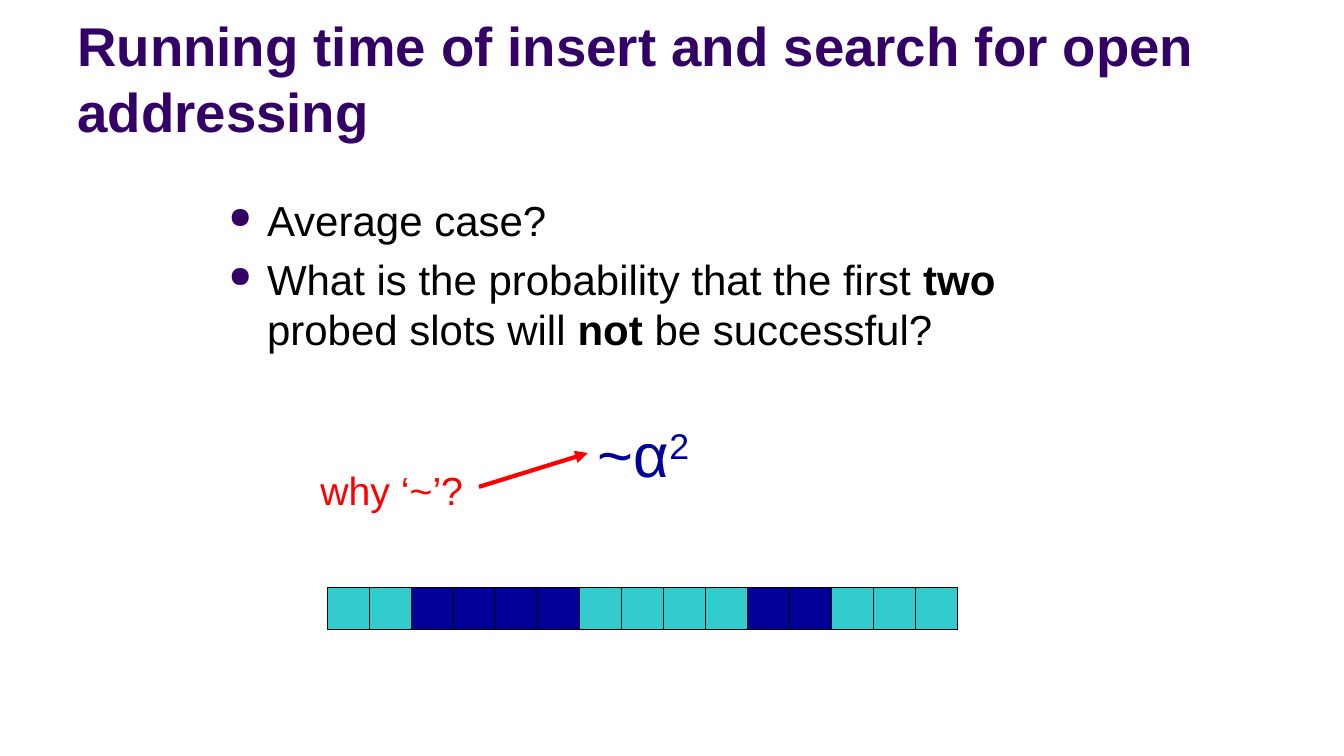
import pptx
import pptx.util
import pptx.dml.color
import pptx.enum.shapes
import pptx.enum.text
import pptx.oxml.ns
from lxml import etree

Inches, Pt = pptx.util.Inches, pptx.util.Pt
RGBColor = pptx.dml.color.RGBColor

PURPLE = RGBColor(0x33, 0x00, 0x66)
BLACK = RGBColor(0x00, 0x00, 0x00)
TEAL = RGBColor(0x33, 0xCC, 0xCC)
NAVY = RGBColor(0x00, 0x00, 0x99)
RED = RGBColor(0xFF, 0x00, 0x00)

TABLE_LEFT, TABLE_TOP, TABLE_WIDTH = 3.25, 5.83, 6.25
SLOTS = 15
SLOT = TABLE_WIDTH / SLOTS
FILLED = (2, 3, 4, 5, 10, 11)


def add_xml(parent, tag, **attributes):
    return etree.SubElement(parent, pptx.oxml.ns.qn(tag), attributes)


class SlideBuilder:
    """Holds the font and the current slide, and adds styled elements to it."""

    def __init__(self, s, font="Arial"):
        self.s = s
        self.font = font

    def text(self, box, paragraphs, size, color, bold=None, bullet=None, gap=0, bottom=False):
        sp = self.s.shapes.add_textbox(*map(Inches, box))
        tf = sp.text_frame
        tf.word_wrap = True
        if bottom:
            tf.vertical_anchor = pptx.enum.text.MSO_ANCHOR.BOTTOM
        for i, runs in enumerate(paragraphs):
            p = tf.paragraphs[0] if i == 0 else tf.add_paragraph()
            if i:
                p.space_before = Pt(gap)
            if bullet:
                self.bullet(p, bullet)
            p.font.name, p.font.size, p.font.bold = self.font, Pt(size), bold
            p.font.color.rgb = color
            for words, style in runs:
                r = p.add_run()
                r.text = words
                if style == "bold":
                    r.font.bold = True
                elif style == "super":
                    r._r.get_or_add_rPr().set("baseline", "30000")
        return sp

    def bullet(self, p, color):
        pPr = p._p.get_or_add_pPr()
        pPr.set("marL", str(Inches(0.38)))
        pPr.set("indent", str(-Inches(0.38)))
        add_xml(add_xml(pPr, "a:buClr"), "a:srgbClr", val=str(color))
        add_xml(pPr, "a:buSzPct", val="70000")
        add_xml(pPr, "a:buChar", char="●")

    def rect(self, box, fill):
        sp = self.s.shapes.add_shape(
            pptx.enum.shapes.MSO_SHAPE.RECTANGLE, *map(Inches, box))
        sp.shadow.inherit = False
        sp.fill.solid()
        sp.fill.fore_color.rgb = fill
        sp.line.color.rgb = BLACK
        sp.line.width = Pt(0.75)

    def line(self, start, end, color=BLACK, width=0.75, arrow=False):
        sp = self.s.shapes.add_connector(
            pptx.enum.shapes.MSO_CONNECTOR.STRAIGHT, *map(Inches, start + end))
        sp.line.color.rgb = color
        sp.line.width = Pt(width)
        if arrow:
            add_xml(sp.line._get_or_add_ln(), "a:tailEnd", type="triangle")
        add_xml(sp._element.spPr, "a:effectLst")
        return sp


def main():
    prs = pptx.Presentation()
    prs.slide_width, prs.slide_height = Inches(13.33), Inches(7.5)
    slide = SlideBuilder(prs.slides.add_slide(prs.slide_layouts[6]))

    slide.text((0.67, 0.37, 12, 1.1),
               [[("Running time of insert and search for open addressing", None)]],
               39, PURPLE, bold=True, bottom=True)
    slide.text((2.17, 1.88, 9.08, 2.62), [
        [("Average case?", None)],
        [("What is the probability that the first ", None), ("two", "bold"),
         (" probed slots will ", None), ("not ", "bold"), ("be successful?", None)],
    ], 30, BLACK, bullet=PURPLE, gap=6)

    slide.rect((TABLE_LEFT, TABLE_TOP, TABLE_WIDTH, SLOT), TEAL)
    for i in range(1, SLOTS):
        x = TABLE_LEFT + i * SLOT
        slide.line((x, TABLE_TOP), (x, TABLE_TOP + SLOT))
    for i in FILLED:
        slide.rect((TABLE_LEFT + i * SLOT, TABLE_TOP, SLOT, SLOT), NAVY)

    estimate = slide.text((5.83, 4.08, 1.25, 0.83),
                          [[("~α", None), ("2", "super")]], 44, NAVY)
    arrow = slide.line((4.75, 4.83), (5.83, 4.5), RED, 3, arrow=True)
    arrow.end_connect(estimate, 1)
    slide.text((3.08, 4.58, 1.67, 0.57), [[("why ‘~’?", None)]], 28, RED)

    prs.save("out.pptx")


if __name__ == "__main__":
    main()
